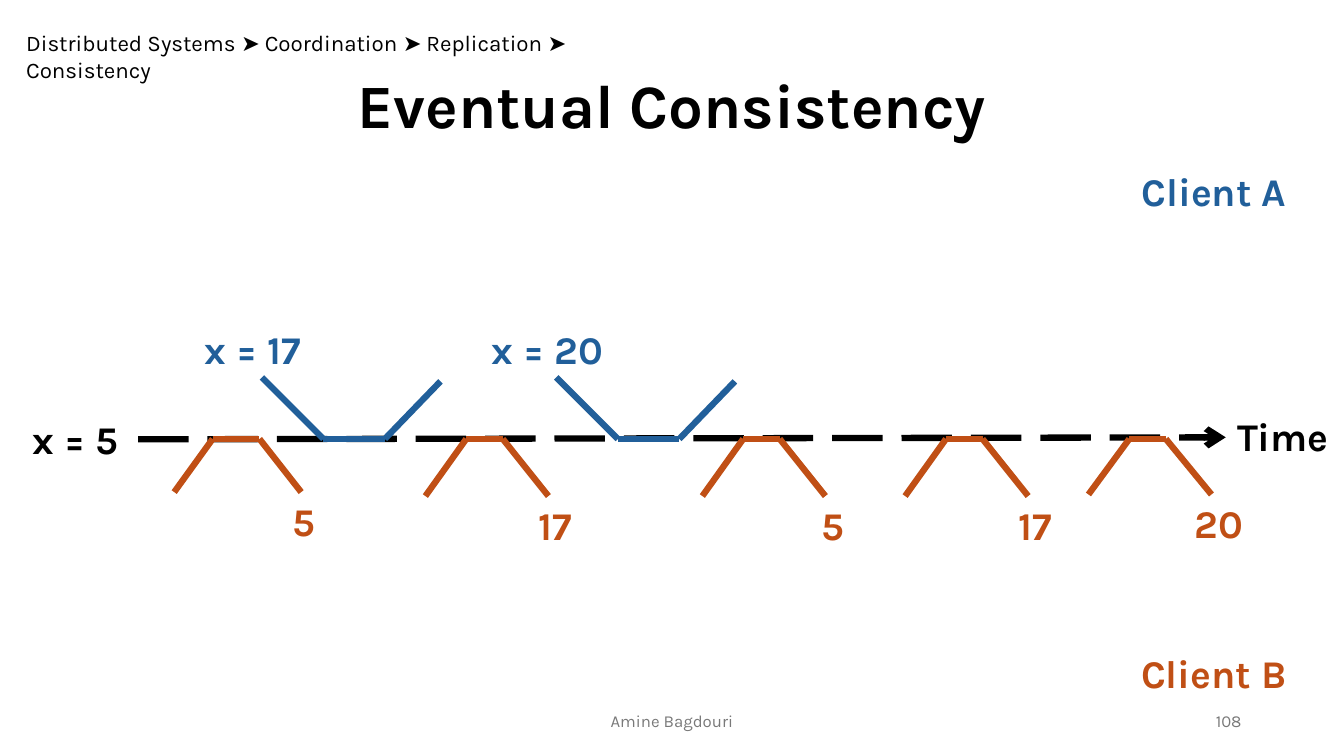
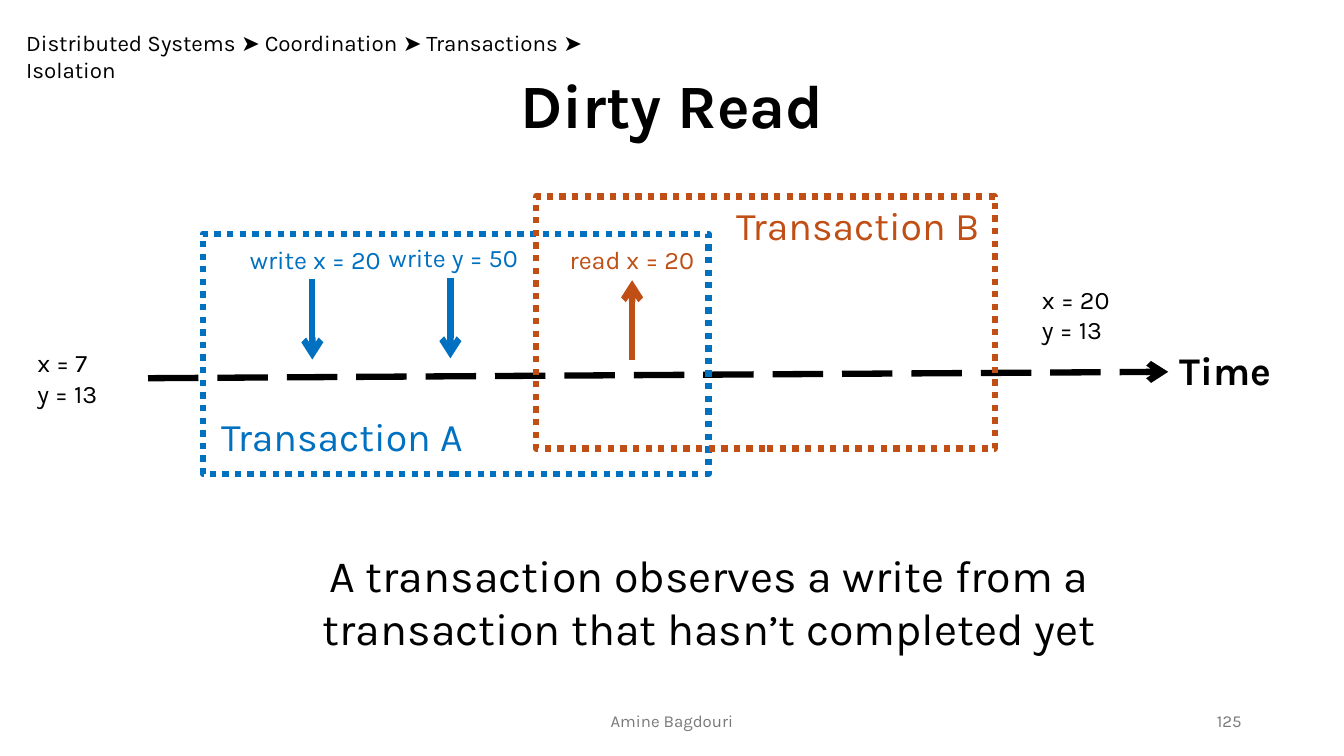
from dataclasses import dataclass

import pptx
import pptx.dml.color
import pptx.enum.dml
import pptx.enum.shapes
import pptx.enum.text
import pptx.oxml.ns
import pptx.util
from lxml import etree

Cm = pptx.util.Cm
ALIGN = pptx.enum.text.PP_ALIGN
ANCHOR = pptx.enum.text.MSO_ANCHOR
DASH = pptx.enum.dml.MSO_LINE


@dataclass(frozen=True)
class Theme:
    font: str = "Karla"
    black: str = "000000"
    grey: str = "797979"
    navy: str = "215F9A"
    blue: str = "0070C0"
    orange: str = "C04F15"
    title: int = 44
    statement: int = 32
    label: int = 28
    detail: int = 18
    breadcrumb: int = 16
    footer: int = 12
    stroke: float = 4.5


THEME = Theme()
PAGE_WIDTH, PAGE_HEIGHT = 33.87, 19.05
AUTHOR = "Amine Bagdouri"
TITLE_ONLY_LAYOUT = 5
ARROW_LENGTH = 2.02

# Consistency timeline: baseline, and corner offsets of each kind of access
BASELINE = 11.06
WRITE_CORNERS = ((0, -1.55), (1.55, 0), (3.1, 0), (4.5, -1.45))
READ_STEPS = (0, 1.03, 1.95, 3.1)
FIRST_READ_STEPS = (0, 0.97, 2.15, 3.2)


# Basic elements
def rgb(color):
    return pptx.dml.color.RGBColor.from_string(color)


def format_text(frame, text, size, color, bold, align, anchor):
    frame.text = text
    frame.word_wrap = True
    frame.auto_size = pptx.enum.text.MSO_AUTO_SIZE.NONE
    frame.vertical_anchor = anchor
    for para in frame.paragraphs:
        para.alignment = align
        para.font.name = THEME.font
        para.font.size = pptx.util.Pt(size)
        para.font.bold = bold
        para.font.color.rgb = rgb(color)


def add_text(page, text, left, top, width, height, size, color=THEME.black,
             bold=False, align=ALIGN.CENTER, anchor=ANCHOR.TOP):
    box = page.shapes.add_textbox(Cm(left), Cm(top), Cm(width), Cm(height))
    format_text(box.text_frame, text, size, color, bold, align, anchor)


def add_label(page, text, left, top, width, color, bold=True):
    add_text(page, text, left, top, width, 1.45, THEME.label, color, bold)


def format_line(line, color, dash=None):
    line.color.rgb = rgb(color)
    line.width = pptx.util.Pt(THEME.stroke)
    if dash is not None:
        line.dash_style = dash


def add_line(page, start, end, color, dash=None, arrow=False):
    connector = page.shapes.add_connector(
        pptx.enum.shapes.MSO_CONNECTOR.STRAIGHT,
        Cm(start[0]), Cm(start[1]), Cm(end[0]), Cm(end[1]))
    format_line(connector.line, color, dash)
    properties = connector._element.spPr
    if arrow:
        tail = etree.SubElement(connector.line._get_or_add_ln(),
                                pptx.oxml.ns.qn("a:tailEnd"))
        tail.set("type", "arrow")
    etree.SubElement(properties, pptx.oxml.ns.qn("a:effectLst"))


def add_path(page, points, color):
    for start, end in zip(points, points[1:]):
        add_line(page, start, end, color)


# Shared page frame
def add_page(deck, title, breadcrumb, number):
    page = deck.slides.add_slide(deck.slide_layouts[TITLE_ONLY_LAYOUT])
    heading = page.shapes.title
    heading.left, heading.top = Cm(0), Cm(1.57)
    heading.width, heading.height = Cm(PAGE_WIDTH), Cm(2.14)
    format_text(heading.text_frame, title, THEME.title, THEME.black, True,
                ALIGN.CENTER, ANCHOR.TOP)
    add_text(page, " ➤ ".join(breadcrumb), 0.41, 0.61, 16.4, 0.94,
             THEME.breadcrumb, align=ALIGN.LEFT)
    for text, left, width, align in (
            (AUTHOR, 11.22, 11.43, ALIGN.CENTER),
            (str(number), 23.92, 7.62, ALIGN.RIGHT)):
        add_text(page, text, left, 17.65, width, 1.01, THEME.footer,
                 THEME.grey, align=align, anchor=ANCHOR.MIDDLE)
    return page


def add_time_axis(page, start, end, label_top):
    add_line(page, start, end, THEME.black, DASH.LONG_DASH, arrow=True)
    add_label(page, "Time", end[0] - 0.08, label_top, 3.04, THEME.black)


# Accesses on the consistency timeline
def add_write(page, text, left):
    points = [(left + x, BASELINE + y) for x, y in WRITE_CORNERS]
    add_path(page, points, THEME.navy)
    add_label(page, text, left - 1.9, 8.08, 3.35, THEME.navy)


def add_read(page, text, left, bottom, steps):
    heights = (bottom, BASELINE, BASELINE, bottom)
    points = [(left + step, y) for step, y in zip(steps, heights)]
    add_path(page, points, THEME.orange)
    add_label(page, text, left + 1.87, bottom, 2.82, THEME.orange)


# Parts of the transaction diagram
def add_transaction(page, name, left, top, width, height, color, label_at):
    frame = page.shapes.add_shape(
        pptx.enum.shapes.MSO_SHAPE.RECTANGLE,
        Cm(left), Cm(top), Cm(width), Cm(height))
    frame.shadow.inherit = False
    frame.fill.background()
    format_line(frame.line, color, DASH.ROUND_DOT)
    add_label(page, name, *label_at, 6.91, color, bold=False)


def add_operation(page, text, center, top, color, label_left, upward=False):
    ends = [(center, top), (center, top + ARROW_LENGTH)]
    if upward:
        ends.reverse()
    add_line(page, *ends, color, arrow=True)
    add_text(page, text, label_left, top - 1.02, 3.91, 1.02, THEME.detail, color)


def add_state(page, x, y, left, top):
    add_text(page, f"x = {x}\ny = {y}", left, top, 2.41, 1.8, THEME.detail,
             align=ALIGN.LEFT)


# Pages
def build_eventual_consistency(deck):
    page = add_page(deck, "Eventual Consistency",
                    ("Distributed Systems", "Coordination", "Replication",
                     "Consistency"), 108)
    add_time_axis(page, (3.48, 11.07), (30.89, 11.02), 10.26)
    add_label(page, "x = 5", 0.46, 10.34, 2.87, THEME.black)
    for name, top, color in (("Client A", 4.09, THEME.navy),
                             ("Client B", 16.23, THEME.orange)):
        add_label(page, name, 28.09, top, 5, color)
    for text, left in (("x = 17", 6.6), ("x = 20", 14.02)):
        add_write(page, text, left)
    for text, left, bottom, steps in (
            ("5", 4.39, 12.4, FIRST_READ_STEPS),
            ("17", 10.72, 12.5, READ_STEPS),
            ("5", 17.7, 12.5, READ_STEPS),
            ("17", 22.81, 12.5, READ_STEPS),
            ("20", 27.43, 12.46, READ_STEPS)):
        add_read(page, text, left, bottom, steps)


def build_dirty_read(deck):
    page = add_page(deck, "Dirty Read",
                    ("Distributed Systems", "Coordination", "Transactions",
                     "Isolation"), 125)
    add_text(page, "A transaction observes a write from a transaction that "
             "hasn’t completed yet", 5.31, 13.67, 25.15, 3, THEME.statement)
    add_state(page, 7, 13, 0.69, 8.64)
    add_state(page, 20, 13, 26.01, 7.04)
    add_time_axis(page, (3.73, 9.53), (29.44, 9.37), 8.61)
    # Transaction A and its writes
    add_transaction(page, "Transaction A", 5.11, 5.89, 12.75, 6.05,
                    THEME.blue, (5.16, 10.26))
    add_operation(page, "write x = 20", 7.87, 7.04, THEME.blue, 5.99)
    add_operation(page, "write y = 50", 11.35, 7.01, THEME.blue, 9.47)
    # Transaction B and its read
    add_transaction(page, "Transaction B", 13.51, 4.95, 11.56, 6.35,
                    THEME.orange, (18.16, 4.95))
    add_operation(page, "read x = 20", 15.93, 7.06, THEME.orange, 13.97,
                  upward=True)


def main():
    deck = pptx.Presentation()
    deck.slide_width, deck.slide_height = Cm(PAGE_WIDTH), Cm(PAGE_HEIGHT)
    build_eventual_consistency(deck)
    build_dirty_read(deck)
    deck.save("out.pptx")


if __name__ == "__main__":
    main()
